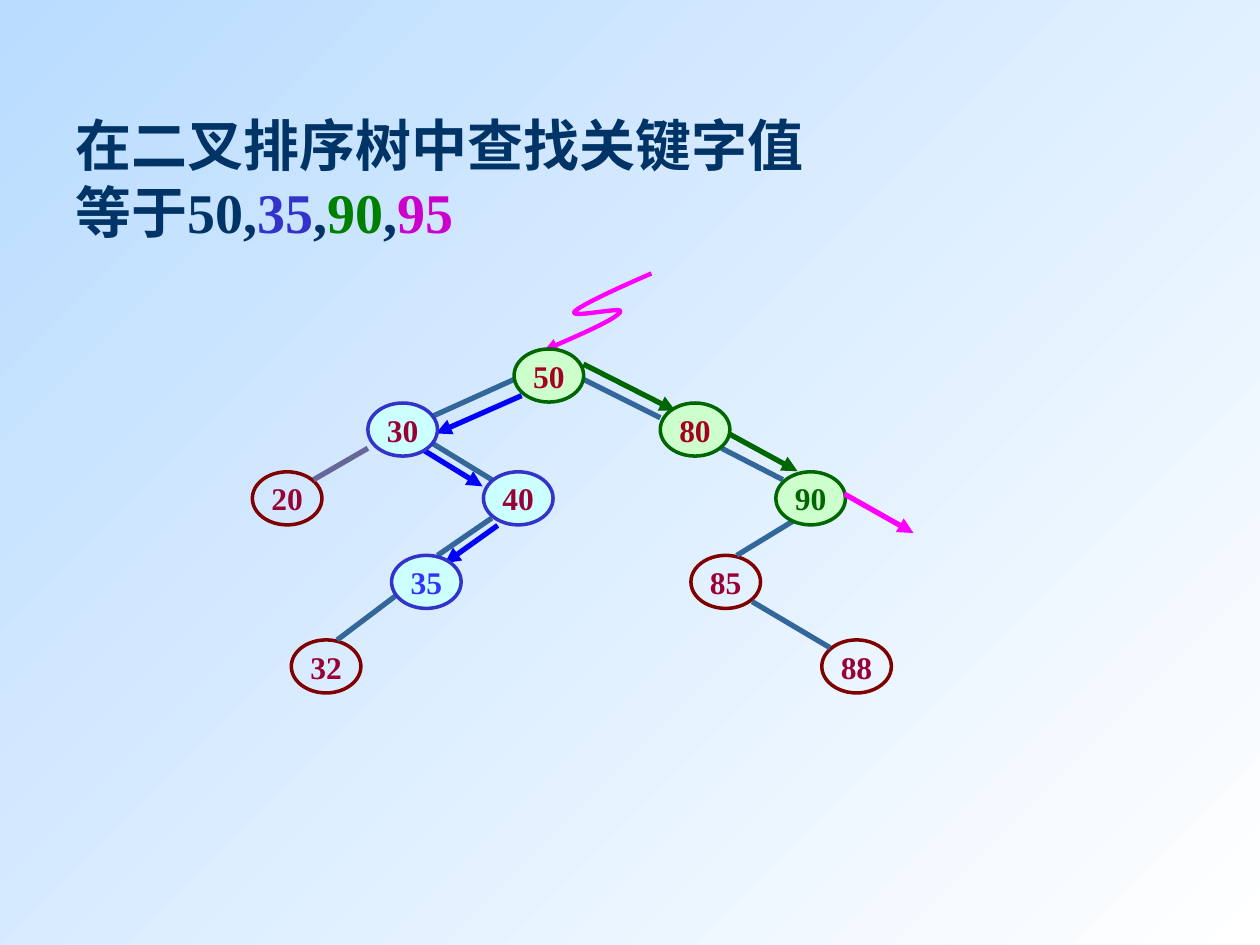
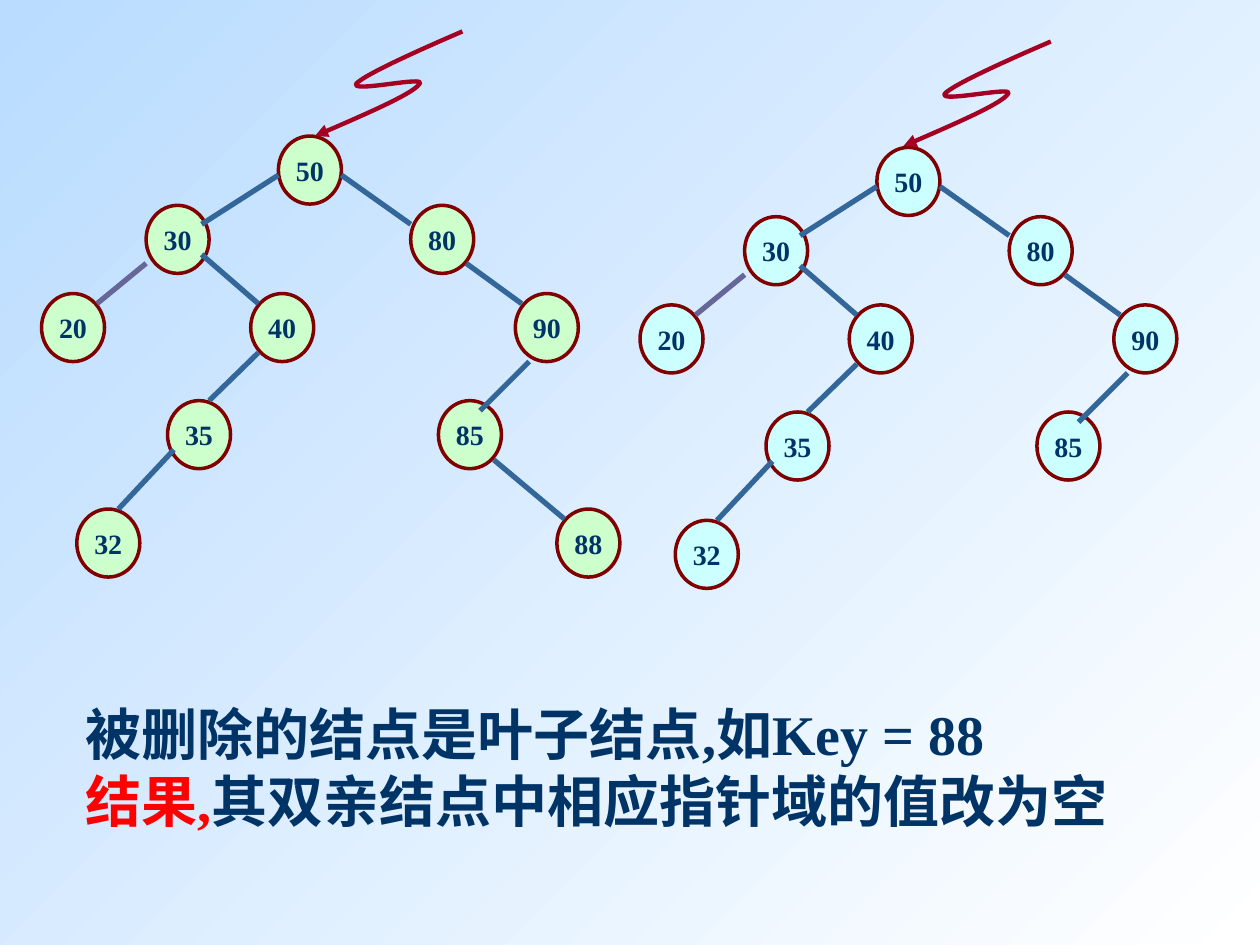
from lxml import etree
from pptx import Presentation
from pptx.dml.color import RGBColor
from pptx.enum.shapes import MSO_CONNECTOR, MSO_SHAPE
from pptx.enum.text import MSO_ANCHOR, MSO_AUTO_SIZE, PP_ALIGN
from pptx.oxml.ns import qn
from pptx.util import Inches, Pt

OVAL = MSO_SHAPE.OVAL
STRAIGHT = MSO_CONNECTOR.STRAIGHT
MIDDLE = MSO_ANCHOR.MIDDLE
CENTER = PP_ALIGN.CENTER
GROW = MSO_AUTO_SIZE.SHAPE_TO_FIT_TEXT

WHITE = RGBColor(0xFF, 0xFF, 0xFF)
SKY = RGBColor(0xB9, 0xDC, 0xFF)
NAVY = RGBColor(0x00, 0x33, 0x66)
STEEL = RGBColor(0x33, 0x66, 0x99)
SLATE = RGBColor(0x66, 0x66, 0x99)
MAROON = RGBColor(0x80, 0x00, 0x00)
WINE = RGBColor(0x99, 0x00, 0x33)
CRIMSON = RGBColor(0xA5, 0x00, 0x21)
RED = RGBColor(0xFF, 0x00, 0x00)
INDIGO = RGBColor(0x33, 0x33, 0xCC)
VIOLET = RGBColor(0x33, 0x33, 0xFF)
BLUE = RGBColor(0x00, 0x00, 0xFF)
GREEN = RGBColor(0x00, 0x80, 0x00)
DARK_GREEN = RGBColor(0x00, 0x66, 0x00)
PURPLE = RGBColor(0xCC, 0x00, 0xCC)
MAGENTA = RGBColor(0xFF, 0x00, 0xFF)
PALE_GREEN = RGBColor(0xCC, 0xFF, 0xCC)
PALE_CYAN = RGBColor(0xCC, 0xFF, 0xFF)

# Tree geometry at scale 1, in inches from the top left of the root node.
NODE_SIZE = (0.5, 0.54)
NODES = {
    50: (0, 0), 30: (-1.05, 0.55), 80: (1.05, 0.55), 20: (-1.88, 1.25),
    90: (1.88, 1.25), 85: (1.27, 2.1), 40: (-0.22, 1.25), 35: (-0.88, 2.1),
    88: (2.21, 2.96), 32: (-1.6, 2.96),
}
EDGES = {
    (50, 30): ((0, 0.31), (-0.61, 0.7)),
    (30, 20): ((-1.05, 1.01), (-1.44, 1.33)),
    (50, 80): ((0.5, 0.31), (1.05, 0.7)),
    (30, 40): ((-0.61, 0.94), (-0.16, 1.33)),
    (40, 35): ((-0.16, 1.72), (-0.55, 2.1)),
    (80, 90): ((1.49, 1.01), (1.93, 1.33)),
    (90, 85): ((1.99, 1.79), (1.6, 2.18)),
    (85, 88): ((1.71, 2.57), (2.27, 3.04)),
    (35, 32): ((-0.83, 2.49), (-1.27, 2.96)),
}
# Start and three Bezier segments, as fractions of the pointer's box.
POINTER_CURVE = [
    (1, 0), (0.67, 0.2), (0.33, 0.42), (0.28, 0.5), (0.24, 0.59),
    (0.76, 0.42), (0.71, 0.5), (0.67, 0.59), (0.33, 0.8), (0, 1),
]


class Deck:
    font_name = "Times New Roman"

    def __init__(self):
        self.prs = Presentation()
        self.prs.slide_width, self.prs.slide_height = Inches(10), Inches(7.5)
        self.slide = None

    def new_slide(self):
        self.slide = self.prs.slides.add_slide(self.prs.slide_layouts[6])
        fill = self.slide.background.fill
        fill.gradient()
        fill.gradient_angle = 135
        for stop, color in zip(fill.gradient_stops, (WHITE, SKY)):
            stop.color.rgb = color

    def style(self, paragraph, size, color):
        font = paragraph.font
        font.name, font.size, font.bold = self.font_name, Pt(size), True
        font.color.rgb = color

    def heading(self, box, lines):
        """Add a text box; each line is a list of (text, color) runs."""
        frame = self.slide.shapes.add_textbox(*map(Inches, box)).text_frame
        frame.word_wrap, frame.auto_size = True, GROW
        for i, runs in enumerate(lines):
            paragraph = frame.add_paragraph() if i else frame.paragraphs[0]
            self.style(paragraph, 32, NAVY)
            for text, color in runs:
                run = paragraph.add_run()
                run.text = text
                run.font.color.rgb = color

    def node(self, key, box, fill, outline, color, size):
        oval = self.slide.shapes.add_shape(OVAL, *map(Inches, box))
        oval.shadow.inherit = False
        if fill is None:
            oval.fill.background()
        else:
            oval.fill.solid()
            oval.fill.fore_color.rgb = fill
        oval.line.color.rgb, oval.line.width = outline, Pt(2)
        frame = oval.text_frame
        frame.word_wrap, frame.vertical_anchor = False, MIDDLE
        paragraph = frame.paragraphs[0]
        paragraph.text, paragraph.alignment = str(key), CENTER
        self.style(paragraph, size, color)

    def add_arrowhead(self, line):
        etree.SubElement(line._get_or_add_ln(), qn("a:tailEnd"), type="triangle")

    def link(self, start, end, color, arrow=False):
        link = self.slide.shapes.add_connector(STRAIGHT, *map(Inches, (*start, *end)))
        link.line.color.rgb, link.line.width = color, Pt(3)
        if arrow:
            self.add_arrowhead(link.line)
        etree.SubElement(link._element.spPr, qn("a:effectLst"))

    def pointer(self, left, top, width, height, color):
        """Draw the curved root pointer, ending at the lower left of its box."""
        points = [(Inches(left + x * width), Inches(top + y * height))
                  for x, y in POINTER_CURVE]
        builder = self.slide.shapes.build_freeform(*points[0])
        builder.add_line_segments(points[1:], close=False)
        curve = builder.convert_to_shape()
        curve.shadow.inherit = False
        curve.fill.background()
        curve.line.color.rgb, curve.line.width = color, Pt(2.5)
        self.add_arrowhead(curve.line)
        segments = list(curve._element.iter(qn("a:lnTo")))
        outline = segments[0].getparent()
        for i in range(0, len(segments), 3):
            bezier = etree.SubElement(outline, qn("a:cubicBezTo"))
            for segment in segments[i:i + 3]:
                bezier.append(segment[0])
                outline.remove(segment)

    def tree_nodes(self, keys, root, scale, fill, outline, color, size):
        for key in keys:
            box = (*place(NODES[key], root, scale), *place(NODE_SIZE, (0, 0), scale))
            self.node(key, box, fill, outline, color, size)

    def tree_edges(self, edges, root, scale):
        for pair, (start, end) in edges.items():
            color = SLATE if pair == (30, 20) else STEEL
            self.link(place(start, root, scale), place(end, root, scale), color)


def place(point, root, scale):
    """Map a point of the tree geometry to slide inches."""
    return tuple(r + p * s for p, r, s in zip(point, root, scale))


def search_slide(deck):
    deck.new_slide()
    deck.heading((0.5, 0.83, 6.67, 1.17), [
        [("在二叉排序树中查找关键字值", NAVY)],
        [("等于50,", NAVY), ("35", INDIGO), (",", NAVY), ("90", GREEN),
         (",", NAVY), ("95", PURPLE)],
    ])
    root, scale = (4.08, 2.77), (1.105, 0.78)

    def nodes(keys, fill, outline, color):
        deck.tree_nodes(keys, root, scale, fill, outline, color, 18)

    def arrows(ends, color):
        for start, end in ends:
            deck.link(start, end, color, arrow=True)

    nodes((20, 85, 88, 32), None, MAROON, WINE)
    deck.tree_edges({**EDGES, (90, 85): ((2.04, 1.72), (1.6, 2.1))}, root, scale)
    deck.pointer(4.32, 2.17, 0.85, 0.61, MAGENTA)
    arrows([((4.14, 3.14), (3.46, 3.44)), ((3.34, 3.56), (3.83, 3.86)),
            ((3.95, 4.17), (3.53, 4.47))], BLUE)
    nodes((30, 40), PALE_CYAN, INDIGO, WINE)
    nodes((35,), PALE_CYAN, INDIGO, VIOLET)
    arrows([((4.63, 2.89), (5.36, 3.26)), ((5.78, 3.44), (6.33, 3.74))], DARK_GREEN)
    nodes((50, 80), PALE_GREEN, DARK_GREEN, CRIMSON)
    nodes((90,), PALE_GREEN, DARK_GREEN, DARK_GREEN)
    arrows([((6.7, 3.92), (7.25, 4.23))], MAGENTA)


def delete_leaf_slide(deck):
    deck.new_slide()
    deck.heading((0.58, 5.5, 8.5, 1.7), [
        [("被删除的结点是叶子结点,如Key = 88", NAVY)],
        [("结果,", RED), ("其双亲结点中相应指针域的值改为空", NAVY)],
    ])
    for root, pointer_corner, fill, deleted in (
        ((2.21, 1.08), (2.5, 0.25), PALE_GREEN, None),
        ((6.96, 1.17), (7.17, 0.33), PALE_CYAN, 88),
    ):
        keys = [key for key in NODES if key != deleted]
        edges = {pair: ends for pair, ends in EDGES.items() if deleted not in pair}
        deck.tree_nodes(keys, root, (1, 1), fill, MAROON, NAVY, 16)
        deck.tree_edges(edges, root, (1, 1))
        deck.pointer(*pointer_corner, 1.17, 0.83, CRIMSON)


def main():
    deck = Deck()
    search_slide(deck)
    delete_leaf_slide(deck)
    deck.prs.save("out.pptx")


if __name__ == "__main__":
    main()
